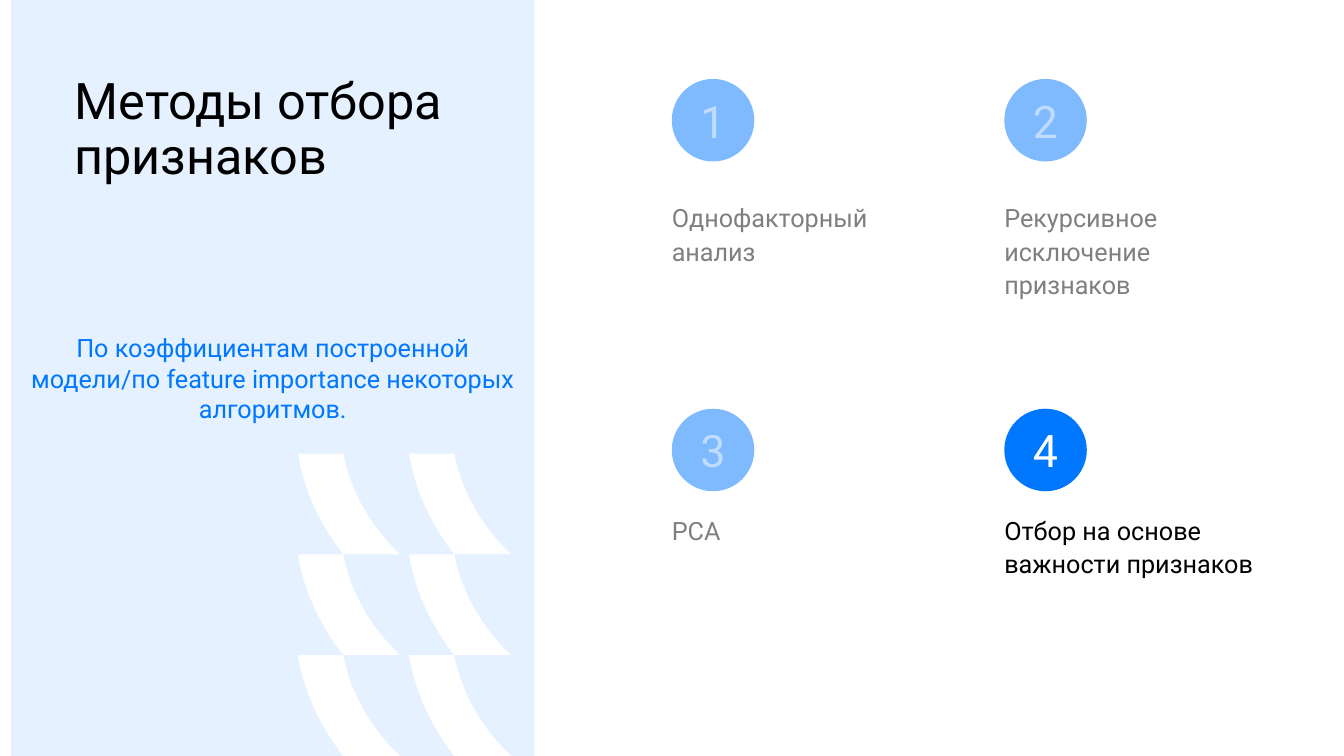
from dataclasses import dataclass
from itertools import product

from lxml.etree import SubElement
from pptx import Presentation
from pptx.dml.color import RGBColor as RGB
from pptx.enum.shapes import MSO_SHAPE as SHAPE
from pptx.enum.text import MSO_ANCHOR as ANCHOR, MSO_AUTO_SIZE as AUTO, PP_ALIGN as ALIGN
from pptx.oxml.ns import qn
from pptx.util import Cm, Pt


@dataclass(frozen=True)
class Theme:
    font: str = "Roboto"
    blue: RGB = RGB(0x00, 0x77, 0xFF)
    black: RGB = RGB(0, 0, 0)
    white: RGB = RGB(255, 255, 255)
    title: int = 36
    number: int = 32
    body: int = 18
    panel_alpha: int = 10
    muted_alpha: int = 50


THEME = Theme()

# Number, caption and whether the method is the current one
METHODS = [
    ("1", "Однофакторный анализ", False),
    ("2", "Рекурсивное исключение признаков", False),
    ("3", "PCA", False),
    ("4", "Отбор на основе важности признаков", True),
]
COLUMNS = (16.93, 25.31)
ROWS = ((1.99, 4.9), (10.3, 12.78))  # circle top, caption top
CIRCLE = 2.08

# One curved stripe, in cm: its corners, and the control points of its curved sides
CORNERS = ((1.14, 0), (2.57, 2.54), (1.14, 2.54), (0, 0))
CURVES = {0: ((1.33, 0.97), (1.83, 1.83)), 2: ((0.57, 1.8), (0.15, 0.94))}


def set_alpha(element, alpha):
    """Make the solid colour inside an element translucent."""
    if alpha < 100:
        color = next(element.iter(qn("a:srgbClr")))
        SubElement(color, qn("a:alpha"), val=str(alpha * 1000))


def write(tf, text, size, color, alpha=100, align=ALIGN.LEFT, anchor=ANCHOR.TOP,
          spacing=None, insets=None):
    tf.word_wrap = True
    tf.auto_size = AUTO.NONE
    tf.vertical_anchor = anchor
    if insets:
        tf.margin_left, tf.margin_top, tf.margin_right, tf.margin_bottom = map(Cm, insets)
    p = tf.paragraphs[0]
    p.alignment = align
    if spacing:
        p.line_spacing = spacing
    r = p.add_run()
    r.text = text
    r.font.name = THEME.font
    r.font.size = Pt(size)
    r.font.color.rgb = color
    set_alpha(r.font._element, alpha)


def paint(sp, color, alpha=100):
    sp.shadow.inherit = False
    sp.fill.solid()
    sp.fill.fore_color.rgb = color
    set_alpha(sp._element.spPr, alpha)
    sp.line.fill.background()


def add_filled(s, kind, box, color, alpha=100):
    sp = s.shapes.add_shape(kind, *map(Cm, box))
    paint(sp, color, alpha)
    return sp


def add_stripe(group, left, top):
    corners = [(Cm(left + x), Cm(top + y)) for x, y in CORNERS]
    builder = group.shapes.build_freeform(*corners[0])
    builder.add_line_segments(corners[1:], close=True)
    sp = builder.convert_to_shape()
    paint(sp, THEME.white)
    # Bend the two long sides
    sides = list(sp._element.iter(qn("a:lnTo")))
    for side, controls in CURVES.items():
        line = sides[side]
        line.tag = qn("a:cubicBezTo")
        for i, (x, y) in enumerate(controls):
            pt = SubElement(line, qn("a:pt"), x=str(Cm(x)), y=str(Cm(y)))
            line.insert(i, pt)


def add_method(s, left, tops, number, caption, current):
    alpha = 100 if current else THEME.muted_alpha
    circle_top, caption_top = tops
    sp = add_filled(s, SHAPE.OVAL, (left, circle_top, CIRCLE, CIRCLE), THEME.blue, alpha)
    write(sp.text_frame, number, THEME.number, THEME.white, alpha,
          align=ALIGN.CENTER, anchor=ANCHOR.MIDDLE)
    box = s.shapes.add_textbox(Cm(left), Cm(caption_top), Cm(7.0), Cm(4.62))
    write(box.text_frame, caption, THEME.body, THEME.black, alpha,
          spacing=1.1, insets=(0, 0.13, 0.25, 0.13))


def set_title(s, text):
    title = s.shapes.title
    title.left, title.top, title.width, title.height = map(Cm, (1.88, 1.92, 14.35, 1.78))
    write(title.text_frame, text, THEME.title, THEME.black, spacing=0.9, insets=(0, 0, 0, 0))
    s.shapes._spTree.append(title._element)  # bring in front of the panel


def main():
    prs = Presentation()
    prs.slide_width, prs.slide_height = Cm(33.87), Cm(19.05)
    s = prs.slides.add_slide(prs.slide_layouts[5])

    # Side panel
    panel = add_filled(s, SHAPE.RECTANGLE, (0.28, 0, 13.19, 19.05),
                       THEME.blue, THEME.panel_alpha)
    write(panel.text_frame,
          "По коэффициентам построенной модели/по feature importance некоторых алгоритмов.",
          THEME.body, THEME.blue, align=ALIGN.CENTER, anchor=ANCHOR.MIDDLE)

    # Decorative stripes
    group = s.shapes.add_group_shape()
    for row, col in product(range(3), range(2)):
        add_stripe(group, 7.51 + 2.8 * col, 11.43 + 2.54 * row)

    # Methods grid
    for (tops, left), method in zip(product(ROWS, COLUMNS), METHODS):
        add_method(s, left, tops, *method)

    set_title(s, "Методы отбора признаков")
    prs.save("out.pptx")


if __name__ == "__main__":
    main()
